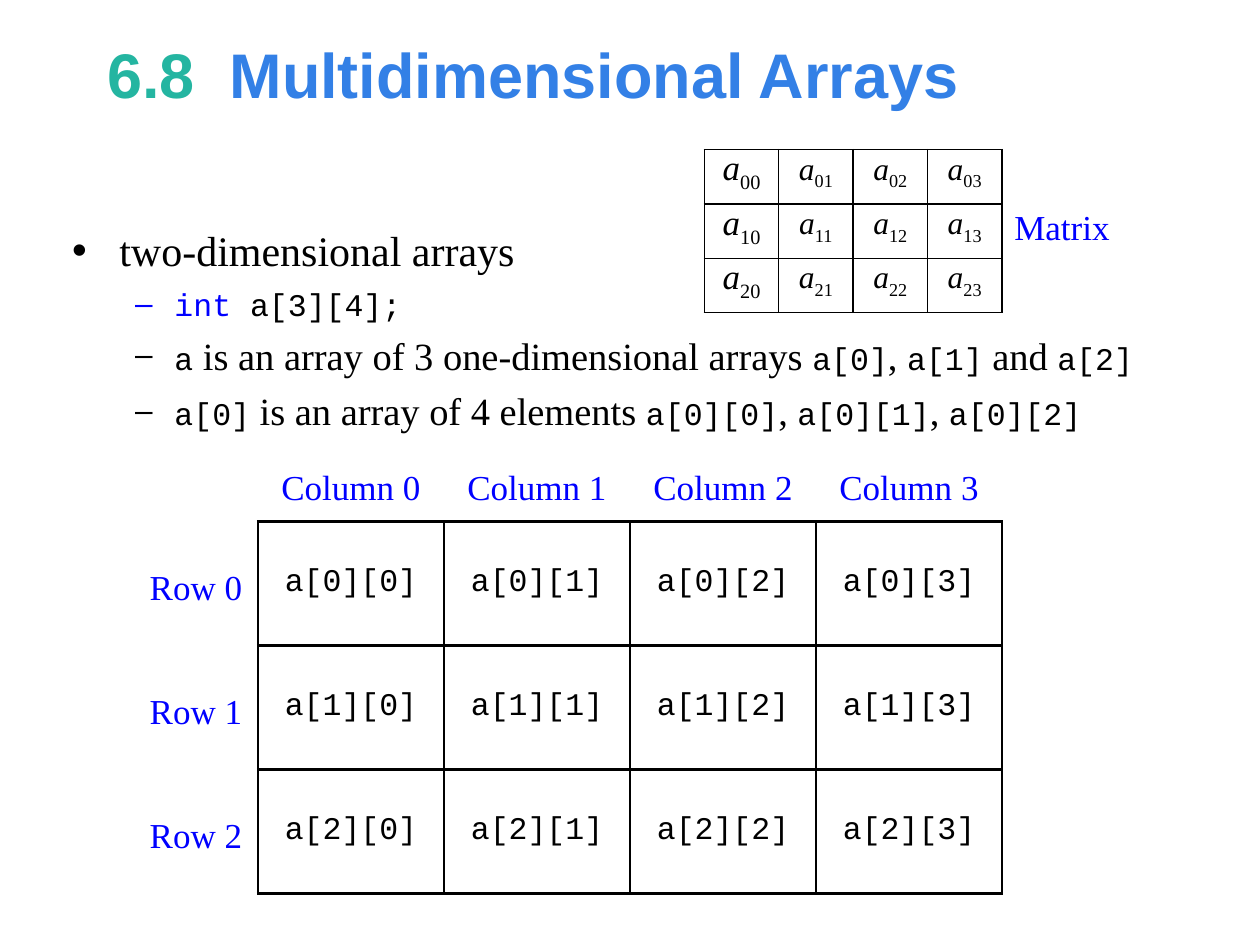
from dataclasses import dataclass

from lxml import etree
from pptx import Presentation
from pptx.dml.color import RGBColor
from pptx.enum.text import MSO_ANCHOR, MSO_AUTO_SIZE, PP_ALIGN
from pptx.oxml.ns import qn
from pptx.util import Pt

MIDDLE = MSO_ANCHOR.MIDDLE
TOP = MSO_ANCHOR.TOP
CENTER = PP_ALIGN.CENTER
LEFT = PP_ALIGN.LEFT
NO_AUTOFIT = MSO_AUTO_SIZE.NONE
ROWS, COLUMNS = 3, 4


@dataclass(frozen=True)
class Theme:
    """Colours, fonts and type sizes of the slide."""

    black: str = "000000"
    blue: str = "0000FF"
    title_number: str = "24B5A1"
    title_text: str = "3380E6"
    heading: str = "Arial"
    serif: str = "Times New Roman"
    mono: str = "Courier New"
    title_size: float = 36
    topic_size: float = 24
    prose_size: float = 22
    label_size: float = 20
    code_size: float = 18


THEME = Theme()


def style_font(font, name, size, color):
    """Give a font its face, size and colour."""
    font.name = name
    font.size = Pt(size)
    font.color.rgb = RGBColor.from_string(color)


def add_run(paragraph, text, name, size, color):
    """Append a styled run and return it."""
    run = paragraph.add_run()
    run.text = text
    style_font(run.font, name, size, color)
    return run


def place(shape, box):
    """Move a shape to a box of left, top, width and height in points."""
    shape.left, shape.top, shape.width, shape.height = map(Pt, box)


def set_bullet(paragraph, symbol, margin, hanging):
    """Give a paragraph a bullet character and a hanging indent."""
    properties = paragraph._p.get_or_add_pPr()
    properties.set("marL", str(Pt(margin)))
    properties.set("indent", str(-Pt(hanging)))
    etree.SubElement(properties, qn("a:buChar")).set("char", symbol)


def set_borders(cell, widths):
    """Draw black cell borders from a mapping of side to width."""
    properties = cell._tc.get_or_add_tcPr()
    for index, side in enumerate("LRTB"):
        line = etree.Element(qn(f"a:ln{side}"), w=str(Pt(widths[side])))
        fill = etree.SubElement(line, qn("a:solidFill"))
        etree.SubElement(fill, qn("a:srgbClr")).set("val", THEME.black)
        properties.insert(index, line)


def add_grid(slide, box, outer_width, inner_width):
    """Add an unfilled ruled table and return its cells by row and column."""
    table = slide.shapes.add_table(ROWS, COLUMNS, *map(Pt, box)).table
    table.first_row = table.horz_banding = False
    for table_column in table.columns:
        table_column.width = Pt(box[2] / COLUMNS)
    for table_row in table.rows:
        table_row.height = Pt(box[3] / ROWS)
    cells = {}
    for row in range(ROWS):
        for column in range(COLUMNS):
            cell = table.cell(row, column)
            cell.fill.background()
            cell.vertical_anchor = MIDDLE
            cell.text_frame.paragraphs[0].alignment = CENTER
            set_borders(cell, {
                "L": outer_width if column == 0 else inner_width,
                "R": outer_width if column == COLUMNS - 1 else inner_width,
                "T": outer_width,
                "B": outer_width,
            })
            cells[row, column] = cell
    return cells


def add_label(slide, box, text, alignment=CENTER):
    """Add a blue one-line label."""
    shape = slide.shapes.add_textbox(*map(Pt, box))
    frame = shape.text_frame
    frame.word_wrap = False
    frame.vertical_anchor = MIDDLE
    frame.margin_top = Pt(6.6)
    paragraph = frame.paragraphs[0]
    paragraph.text = text
    paragraph.alignment = alignment
    style_font(paragraph.font, THEME.serif, THEME.label_size, THEME.blue)


def build_title(slide, box):
    """Fill the title with a section number and a name."""
    title = slide.shapes.title
    place(title, box)
    title.text_frame.auto_size = NO_AUTOFIT
    title.text_frame.vertical_anchor = MIDDLE
    paragraph = title.text_frame.paragraphs[0]
    paragraph.alignment = LEFT
    for text, color in (("6.8  ", THEME.title_number),
                        ("Multidimensional Arrays", THEME.title_text)):
        run = add_run(paragraph, text, THEME.heading, THEME.title_size, color)
        run.font.bold = True


def build_body(slide, box):
    """Fill the body with a topic and its points, code between backticks."""
    body = slide.placeholders[1]
    place(body, box)
    frame = body.text_frame
    frame.auto_size = NO_AUTOFIT
    frame.vertical_anchor = TOP
    frame.margin_top = Pt(15)
    topic = frame.paragraphs[0]
    topic.text = "two-dimensional arrays"
    set_bullet(topic, "•", 27, 27)
    topic.space_before = Pt(0)
    style_font(topic.font, THEME.serif, THEME.topic_size, THEME.black)
    points = (
        "`int` a[3][4];`",
        "`a` is an array of 3 one-dimensional arrays `a[0]`, `a[1]` and `a[2]`",
        "`a[0]` is an array of 4 elements `a[0][0]`, `a[0][1]`, `a[0][2]`",
    )
    for point in points:
        paragraph = frame.add_paragraph()
        paragraph.level = 1
        set_bullet(paragraph, "–", 58.5, 22.5)
        paragraph.space_before = Pt(5.3)
        declaration = point.startswith("`int`")
        for index, text in enumerate(point.split("`")):
            if not text:
                continue
            if declaration or index % 2:
                color = THEME.blue if text == "int" else THEME.black
                add_run(paragraph, text, THEME.mono, THEME.code_size, color)
            else:
                add_run(paragraph, text, THEME.serif, THEME.prose_size, THEME.black)


def build_matrix(slide, box):
    """Draw the matrix of subscripted elements with its label."""
    left, top, width, height = box
    for (row, column), cell in add_grid(slide, box, 1, 1).items():
        cell.margin_left = cell.margin_right = cell.margin_top = Pt(0)
        cell.margin_bottom = Pt(5.67)
        size = THEME.code_size if column else THEME.label_size
        paragraph = cell.text_frame.paragraphs[0]
        letter = add_run(paragraph, "a", THEME.serif, size, THEME.black)
        letter.font.italic = True
        subscript = add_run(paragraph, f"{row}{column}", THEME.serif, size, THEME.black)
        subscript.font._element.set("baseline", "-25000")
    row_height = height / ROWS
    add_label(slide, (left + width, top + row_height, 70.9, row_height), "Matrix", LEFT)


def build_array(slide, box):
    """Draw the array elements with row and column labels."""
    left, top, width, height = box
    column_width, row_height = width / COLUMNS, height / ROWS
    label_width, label_height = 70.9, 42.5
    for (row, column), cell in add_grid(slide, box, 1.5, 0.75).items():
        paragraph = cell.text_frame.paragraphs[0]
        paragraph.text = f"a[{row}][{column}]"
        style_font(paragraph.font, THEME.mono, THEME.code_size, THEME.black)
    for row in range(ROWS):
        label_top = top + row * row_height + (row_height - label_height) / 2
        label_box = (left - label_width, label_top, label_width, label_height)
        add_label(slide, label_box, f"Row {row}")
    for column in range(COLUMNS):
        label_left = left + column * column_width
        label_box = (label_left, top - label_height, column_width, label_height)
        add_label(slide, label_box, f"Column {column}")


def main():
    """Build and save the slide."""
    presentation = Presentation()
    presentation.slide_width, presentation.slide_height = Pt(720), Pt(540)
    slide = presentation.slides.add_slide(presentation.slide_layouts[1])
    build_title(slide, (54, 12, 612, 60))
    build_body(slide, (34, 113.5, 623.5, 127.5))
    build_matrix(slide, (402.5, 85.5, 170, 85))
    build_array(slide, (147.4, 298, 425.2, 212.6))
    presentation.save("out.pptx")


if __name__ == "__main__":
    main()
